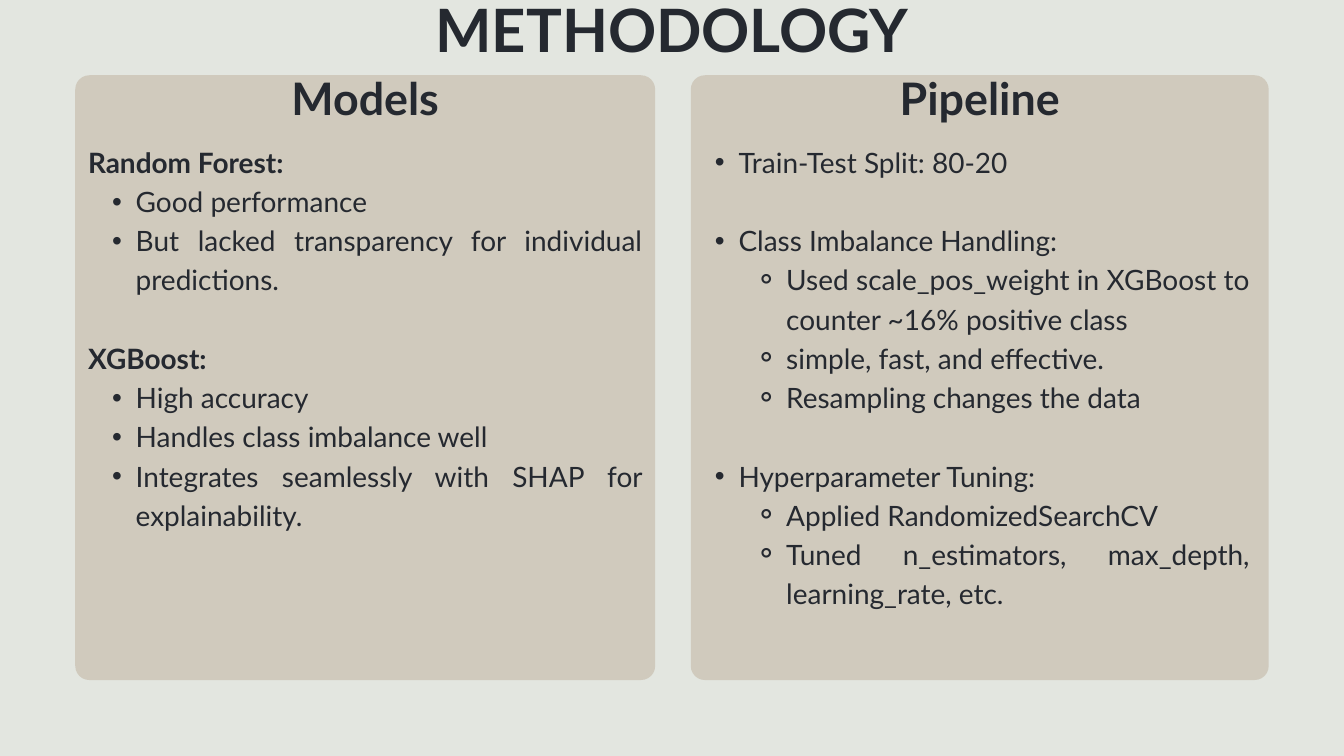
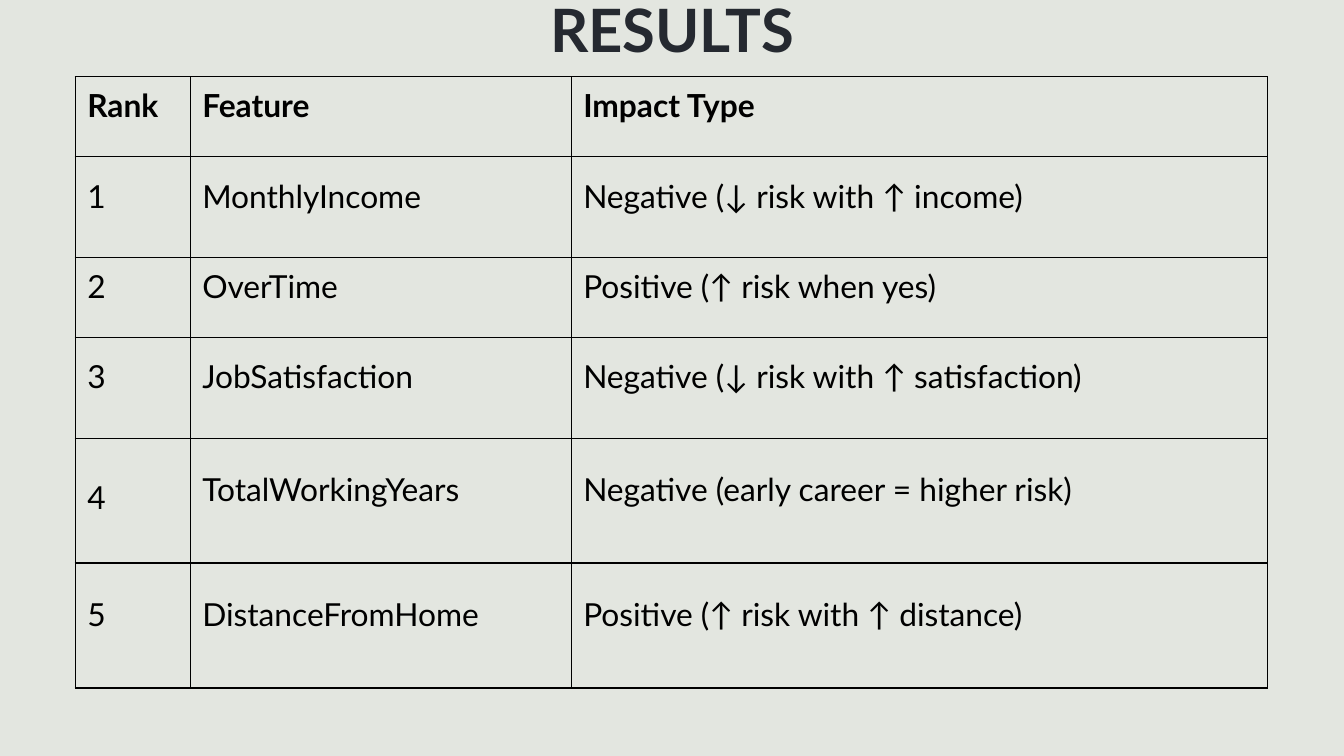
from collections import namedtuple

from lxml import etree
from pptx import Presentation
from pptx.dml.color import RGBColor
from pptx.enum.shapes import MSO_SHAPE
from pptx.enum.text import MSO_ANCHOR, PP_ALIGN
from pptx.oxml.ns import qn
from pptx.util import Inches, Pt

ROUNDED = MSO_SHAPE.ROUNDED_RECTANGLE
MIDDLE = MSO_ANCHOR.MIDDLE
LEFT, CENTER, JUSTIFY = PP_ALIGN.LEFT, PP_ALIGN.CENTER, PP_ALIGN.JUSTIFY

Box = namedtuple("Box", "x y w h")

WIDTH, HEIGHT = 20, 11.25
MARGIN, TOP = 1.12, 1.12
FONT = "Lato"
BACKGROUND, INK, PANEL, BLACK = "E3E6E0", "252930", "C0B3A0", "000000"
PANEL_OPACITY = 54
PANEL_RADIUS = 0.21
BODY_LINE, CELL_LINE = 42, 17
BULLETS = {1: ("•", 0.71, 0.35), 2: ("⚬", 1.42, 0.47)}

MODELS = [
    (0, "Random Forest:"),
    (1, "Good performance"),
    (1, "But lacked transparency for individual predictions."),
    (0, "XGBoost:"),
    (1, "High accuracy"),
    (1, "Handles class imbalance well"),
    (1, "Integrates seamlessly with SHAP for explainability."),
]
PIPELINE = [
    (1, "Train-Test Split: 80-20"),
    (1, "Class Imbalance Handling:"),
    (2, "Used scale_pos_weight in XGBoost to counter ~16% positive class"),
    (2, "simple, fast, and effective."),
    (2, "Resampling changes the data"),
    (1, "Hyperparameter Tuning:"),
    (2, "Applied RandomizedSearchCV"),
    (2, "Tuned n_estimators, max_depth, learning_rate, etc."),
]
FEATURES = [
    ("Rank", "Feature", "Impact Type"),
    ("1", "MonthlyIncome", "Negative (↓ risk with ↑ income)"),
    ("2", "OverTime", "Positive (↑ risk when yes)"),
    ("3", "JobSatisfaction", "Negative (↓ risk with ↑ satisfaction)"),
    ("4", "TotalWorkingYears", "Negative (early career = higher risk)"),
    ("5", "DistanceFromHome", "Positive (↑ risk with ↑ distance)"),
]
COLUMN_WIDTHS = [1.71, 5.67, 10.36]
ROW_HEIGHTS = [1.19, 1.5, 1.19, 1.5, 1.86, 1.86]


def rgb(color):
    return RGBColor.from_string(color)


def inches(box):
    return [Inches(v) for v in box]


def sub(parent, tag, **attrs):
    return etree.SubElement(parent, qn(tag), attrs)


def write(p, text, size, line, color=INK, bold=False, align=LEFT, before=0):
    p.alignment = align
    p.line_spacing = Pt(line)
    p.space_before = Pt(before)
    r = p.add_run()
    r.text = text
    r.font.name = FONT
    r.font.size = Pt(size)
    r.font.bold = bold
    r.font.color.rgb = rgb(color)


def add_bullet(p, level):
    char, indent, hang = BULLETS[level]
    p.level = level
    pPr = p._p.get_or_add_pPr()
    pPr.set("marL", str(Inches(indent)))
    pPr.set("indent", str(-Inches(hang)))
    sub(pPr, "a:buFont", typeface="Arial")
    sub(pPr, "a:buChar", char=char)


def text_frame(s, box):
    tf = s.shapes.add_textbox(*inches(box)).text_frame
    tf.word_wrap = True
    tf.margin_left = tf.margin_right = tf.margin_top = tf.margin_bottom = 0
    return tf


def heading(s, text, box, size):
    p = text_frame(s, box).paragraphs[0]
    write(p, text, size, size * 0.8, bold=True, align=CENTER)


def new_slide(prs, title):
    s = prs.slides.add_slide(prs.slide_layouts[6])
    s.background.fill.solid()
    s.background.fill.fore_color.rgb = rgb(BACKGROUND)
    width = 11.42
    heading(s, title, Box((WIDTH - width) / 2, 0.25, width, 0.81), 64)
    return s


def panel(s, box, title, items, inset, body_width, top_level):
    sp = s.shapes.add_shape(ROUNDED, *inches(box))
    sp.shadow.inherit = False
    sp.adjustments[0] = PANEL_RADIUS / min(box.w, box.h)
    sp.line.fill.background()
    sp.fill.solid()
    sp.fill.fore_color.rgb = rgb(PANEL)
    color = sp._element.spPr.find(qn("a:solidFill"))[0]
    sub(color, "a:alpha", val=str(PANEL_OPACITY * 1000))

    heading(s, title, Box(box.x, box.y + 0.2, box.w, 0.6), 48)

    tf = text_frame(s, Box(box.x + inset, box.y + 0.96, body_width, 7))
    for i, (level, text) in enumerate(items):
        p = tf.add_paragraph() if i else tf.paragraphs[0]
        gap = BODY_LINE if i and level == top_level else 0
        write(p, text, 30, BODY_LINE, bold=level == 0, align=JUSTIFY, before=gap)
        if level:
            add_bullet(p, level)


def add_borders(cell):
    tcPr = cell._tc.get_or_add_tcPr()
    for i, side in enumerate(("a:lnL", "a:lnR", "a:lnT", "a:lnB")):
        ln = etree.Element(qn(side), w=str(Pt(1.5)))
        sub(sub(ln, "a:solidFill"), "a:srgbClr", val=BLACK)
        tcPr.insert(i, ln)


def feature_table(s, box):
    shape = s.shapes.add_table(len(FEATURES), len(COLUMN_WIDTHS), *inches(box))
    table = shape.table
    table.first_row = table.horz_banding = False
    for column, width in zip(table.columns, COLUMN_WIDTHS):
        column.width = Inches(width)
    for row, height in zip(table.rows, ROW_HEIGHTS):
        row.height = Inches(height)
    for i, values in enumerate(FEATURES):
        for j, text in enumerate(values):
            cell = table.cell(i, j)
            cell.vertical_anchor = MIDDLE
            cell.margin_left = Inches(0.18)
            cell.margin_right = cell.margin_bottom = 0
            cell.margin_top = Pt(CELL_LINE) if text == "4" else 0
            cell.fill.background()
            add_borders(cell)
            write(cell.text_frame.paragraphs[0], text, 34, CELL_LINE,
                  color=BLACK, bold=i == 0)


def methodology_slide(prs):
    s = new_slide(prs, "METHODOLOGY")
    panel(s, Box(MARGIN, TOP, 8.63, 9), "Models", MODELS, 0.19, 8.25, 0)
    panel(s, Box(10.28, TOP, 8.6, 9), "Pipeline", PIPELINE, 0, 8.32, 1)


def results_slide(prs):
    s = new_slide(prs, "RESULTS")
    feature_table(s, Box(MARGIN, 1.14, sum(COLUMN_WIDTHS), sum(ROW_HEIGHTS)))


def main():
    prs = Presentation()
    prs.slide_width, prs.slide_height = Inches(WIDTH), Inches(HEIGHT)
    methodology_slide(prs)
    results_slide(prs)
    prs.save("out.pptx")


if __name__ == "__main__":
    main()
